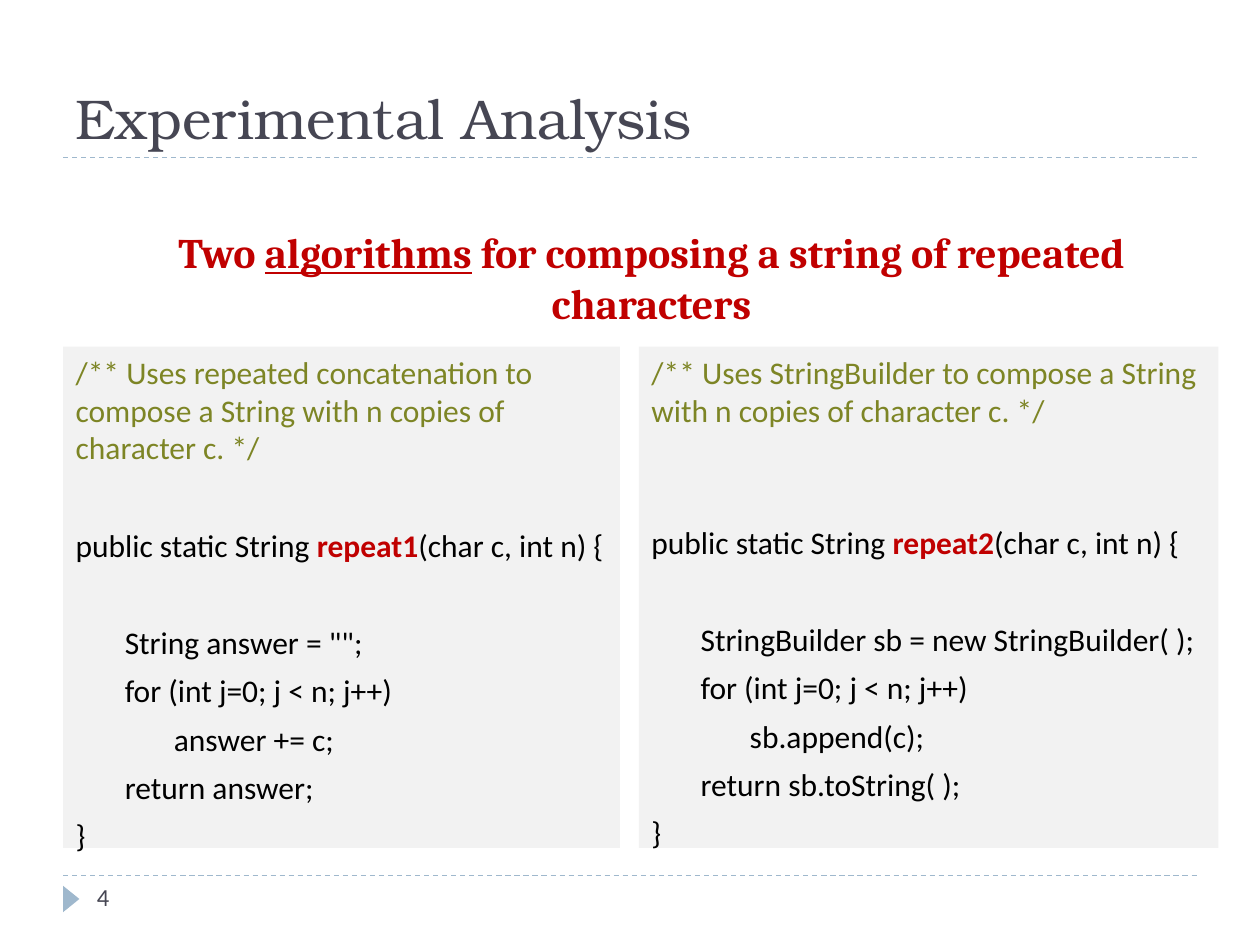
import pptx
import pptx.dml.color
import pptx.enum.dml
import pptx.enum.shapes
import pptx.enum.text
import pptx.oxml
import pptx.util
import lxml.etree

Inches = pptx.util.Inches
Align = pptx.enum.text.PP_ALIGN
Anchor = pptx.enum.text.MSO_ANCHOR

WIDTH, HEIGHT = 10, 7.5
MARGIN = 0.5
INDENT = 0.39
GAP = 6
BLANK_LINE = 34
DOUBLE_BLANK = 54
INK, ACCENT, RED, OLIVE, PANEL = "464653", "9FB8CD", "C00000", "7D8525", "F2F2F2"


def colour(value):
    """Turn a hex string into a colour."""
    return pptx.dml.color.RGBColor.from_string(value)


def place(shape, left, top, width, height):
    """Set the position and size of a shape in inches."""
    shape.left, shape.top = Inches(left), Inches(top)
    shape.width, shape.height = Inches(width), Inches(height)


def add_text(paragraph, text, font="Calibri", size=18, color="000000", bold=False, underline=False):
    """Append one formatted run to a paragraph."""
    run = paragraph.add_run()
    run.text = text
    run.font.name = font
    run.font.size = pptx.util.Pt(size)
    run.font.bold = bold
    run.font.underline = underline
    run.font.color.rgb = colour(color)


def prepare_frame(shape, anchor=Anchor.TOP):
    """Make a text frame wrap at a fixed size and return it."""
    frame = shape.text_frame
    frame.word_wrap = True
    frame.auto_size = pptx.enum.text.MSO_AUTO_SIZE.NONE
    frame.vertical_anchor = anchor
    return frame


def add_text_box(slide, box, runs, alignment=Align.LEFT, **style):
    """Add a one-paragraph text box made of (text, format) runs."""
    shape = slide.shapes.add_textbox(0, 0, 0, 0)
    place(shape, *box)
    paragraph = prepare_frame(shape).paragraphs[0]
    paragraph.alignment = alignment
    for text, extra in runs:
        add_text(paragraph, text, **{**style, **extra})


def add_rule(slide, top):
    """Add a dashed line across the content width."""
    line = slide.shapes.add_connector(
        pptx.enum.shapes.MSO_CONNECTOR.STRAIGHT,
        Inches(MARGIN), Inches(top), Inches(WIDTH - MARGIN), Inches(top))
    line.line.color.rgb = colour(ACCENT)
    line.line.width = pptx.util.Pt(0.75)
    line.line.dash_style = pptx.enum.dml.MSO_LINE.DASH
    lxml.etree.SubElement(line._element.spPr, pptx.oxml.ns.qn("a:effectLst"))


def add_page_marker(slide):
    """Add the triangle that points at the page number."""
    marker = slide.shapes.add_shape(pptx.enum.shapes.MSO_SHAPE.ISOSCELES_TRIANGLE, 0, 0, 0, 0)
    place(marker, 0.46, 7.07, 0.21, 0.13)
    marker.rotation = 90
    marker.shadow.inherit = False
    marker.fill.solid()
    marker.fill.fore_color.rgb = colour(ACCENT)
    marker.line.fill.background()


def fill_title(title, text):
    """Place and write the slide title."""
    place(title, MARGIN, 0.25, WIDTH - 2 * MARGIN, 1)
    paragraph = prepare_frame(title, Anchor.BOTTOM).paragraphs[0]
    paragraph.alignment = Align.LEFT
    add_text(paragraph, text, font="TeX Gyre Bonum", size=32, color=INK)


def add_code_line(frame, runs, level=0, before=GAP):
    """Write one unbulleted line of code at an indent level."""
    first = frame.paragraphs[0]
    paragraph = frame.add_paragraph() if first.runs else first
    paragraph.space_before = pptx.util.Pt(before)
    properties = paragraph._p.get_or_add_pPr()
    properties.set("marL", str(Inches(INDENT * level)))
    properties.set("indent", "0")
    lxml.etree.SubElement(properties, pptx.oxml.ns.qn("a:buNone"))
    for text, style in runs:
        add_text(paragraph, text, **style)


def fill_code_panel(panel, left, width, comment, name, gap, statements):
    """Place a code panel and write a commented method in it."""
    place(panel, left, 2.75, width, 3.98)
    panel.fill.solid()
    panel.fill.fore_color.rgb = colour(PANEL)
    frame = prepare_frame(panel)
    add_code_line(frame, [(comment, {"color": OLIVE})])
    signature = [("public static String ", {}), (name, {"color": RED, "bold": True}),
                 ("(char c, int n) {", {})]
    add_code_line(frame, signature, before=gap)
    for index, (level, text) in enumerate(statements):
        add_code_line(frame, [(text, {})], level, GAP if index else BLANK_LINE)
    add_code_line(frame, [("}", {})])


def main():
    """Build the slide and save it."""
    presentation = pptx.Presentation()
    presentation.slide_width, presentation.slide_height = Inches(WIDTH), Inches(HEIGHT)
    slide = presentation.slides.add_slide(presentation.slide_layouts[3])
    title, left_panel, right_panel = slide.placeholders
    loop = "for (int j=0; j < n; j++)"

    fill_title(title, "Experimental Analysis")
    fill_code_panel(
        left_panel, MARGIN, 4.42,
        "/** Uses repeated concatenation to compose a String with n copies of character c. */",
        "repeat1", BLANK_LINE,
        [(1, 'String answer = "";'), (1, loop), (2, "answer += c;"), (1, "return answer;")])
    fill_code_panel(
        right_panel, 5.07, 4.6,
        "/** Uses StringBuilder to compose a String with n copies of character c. */",
        "repeat2", DOUBLE_BLANK,
        [(1, "StringBuilder sb = new StringBuilder( );"), (1, loop),
         (2, "sb.append(c);"), (1, "return sb.toString( );")])
    for top in (1.25, 6.95):
        add_rule(slide, top)
    add_page_marker(slide)
    add_text_box(slide, (0.67, 6.95, 2.17, 0.4), [("4", {})], size=14, color=INK)
    add_text_box(
        slide, (1.17, 1.75, 8, 0.5),
        [("Two ", {}), ("algorithms", {"underline": True}),
         (" for composing a string of repeated characters", {})],
        Align.CENTER, font="Cambria", size=24, color=RED, bold=True)
    presentation.save("out.pptx")


main()
